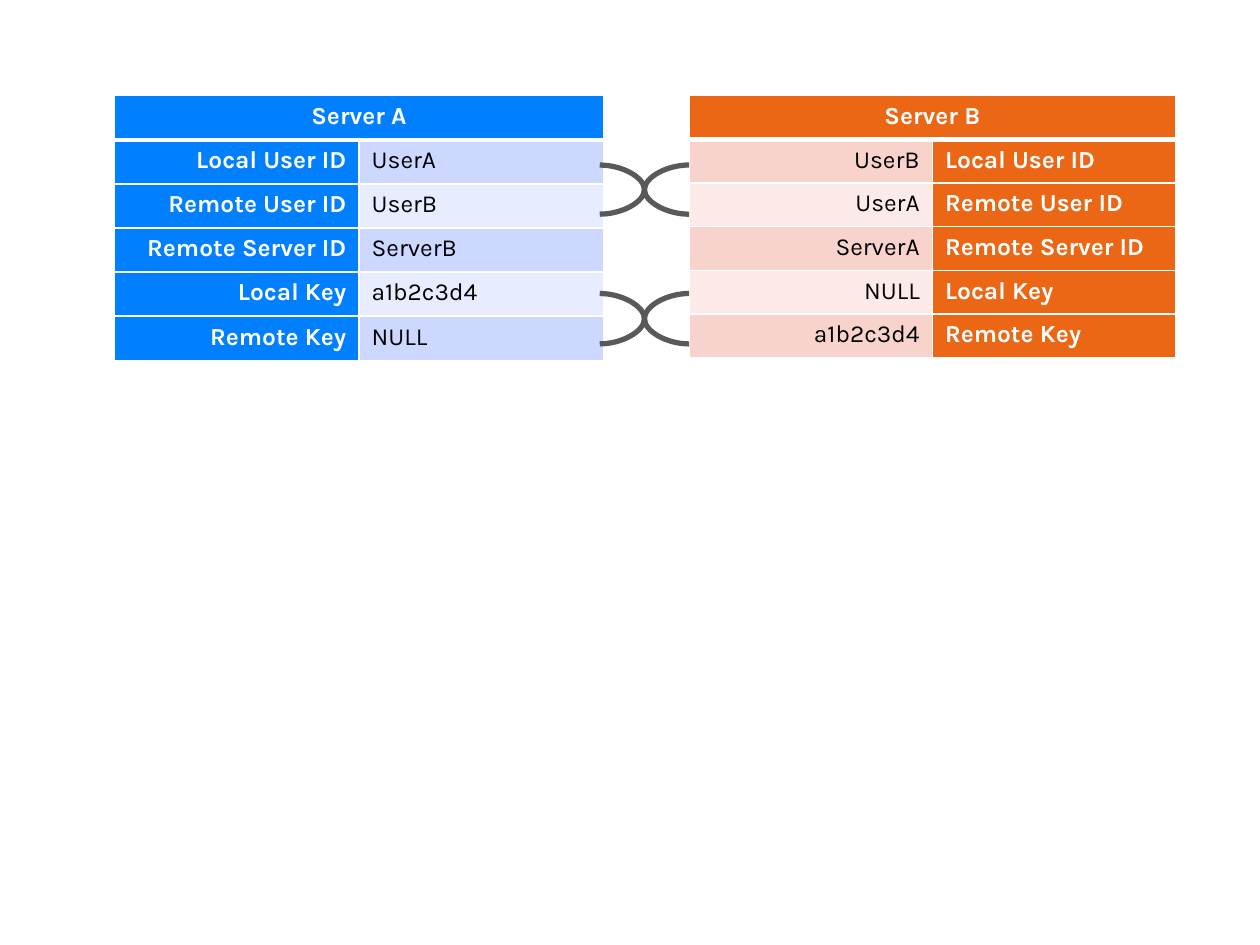
from lxml.etree import SubElement
from pptx import Presentation
from pptx.dml.color import RGBColor
from pptx.enum.shapes import MSO_CONNECTOR
from pptx.enum.text import PP_ALIGN
from pptx.oxml.ns import qn
from pptx.util import Inches, Pt

COLORS = {
    "white": "FFFFFF", "black": "000000", "gray": "595959",
    "blue": "0080FF", "blue_band": "CCD8FF", "blue_pale": "E7EDFF",
    "orange": "EB6615", "orange_band": "F7D3CC", "orange_pale": "FBEAE8",
}
FIELDS = ["Local User ID", "Remote User ID", "Remote Server ID", "Local Key", "Remote Key"]
VALUES_A = ["UserA", "UserB", "ServerB", "a1b2c3d4", "NULL"]
VALUES_B = ["UserB", "UserA", "ServerA", "NULL", "a1b2c3d4"]
LABEL_FORMAT = {"name": "Karla", "size": Pt(14), "bold": True}
VALUE_FORMAT = {**LABEL_FORMAT, "bold": False}


def color(name):
    """Return the named palette colour."""
    return RGBColor.from_string(COLORS[name])


def set_borders(cell, top=1, bottom=1):
    """Draw white borders, with widths in points, around a cell."""
    properties = cell._tc.get_or_add_tcPr()
    for side, width in (("L", 1), ("R", 1), ("T", top), ("B", bottom)):
        line = SubElement(properties, qn(f"a:ln{side}"), w=str(Pt(width)))
        fill = SubElement(line, qn("a:solidFill"))
        SubElement(fill, qn("a:srgbClr"), val=COLORS["white"])


def fill_cell(cell, text, fill, text_color, alignment, text_format):
    """Fill a cell with a colour and one formatted run."""
    cell.fill.solid()
    cell.fill.fore_color.rgb = color(fill)
    paragraph = cell.text_frame.paragraphs[0]
    paragraph.alignment = alignment
    run = paragraph.add_run()
    run.text = text
    for name, value in text_format.items():
        setattr(run.font, name, value)
    run.font.color.rgb = color(text_color)


def add_server_table(slide, title, values, hue, left, width, height, label_column):
    """Add a server table with its labels in the given column."""
    table = slide.shapes.add_table(
        len(FIELDS) + 1, 2, Inches(left), Inches(0.76), Inches(width), Inches(height)
    ).table
    for column in range(2):
        set_borders(table.cell(0, column), bottom=3)
    header = table.cell(0, 0)
    header.merge(table.cell(0, 1))
    fill_cell(header, title, hue, "white", PP_ALIGN.CENTER, LABEL_FORMAT)
    alignments = [PP_ALIGN.RIGHT, PP_ALIGN.LEFT]
    for row, (field, value) in enumerate(zip(FIELDS, values), start=1):
        band = f"{hue}_band" if row % 2 else f"{hue}_pale"
        for column, alignment in enumerate(alignments):
            cell = table.cell(row, column)
            set_borders(cell, top=3 if row == 1 else 1)
            if column == label_column:
                fill_cell(cell, field, hue, "white", alignment, LABEL_FORMAT)
            else:
                fill_cell(cell, value, band, "black", alignment, VALUE_FORMAT)


def add_curve(slide, start_y, end_y):
    """Add a curved connector across the gap between the tables."""
    connector = slide.shapes.add_connector(
        MSO_CONNECTOR.CURVE, Inches(4.76), Inches(start_y), Inches(5.47), Inches(end_y)
    )
    connector.line.color.rgb = color("gray")
    connector.line.width = Pt(3)
    SubElement(connector._element.spPr, qn("a:effectLst"))


def add_crossing(slide, top, bottom):
    """Add two curves that swap a pair of rows."""
    add_curve(slide, bottom, top)
    add_curve(slide, top, bottom)


def main():
    """Build and save the slide."""
    presentation = Presentation()
    presentation.slide_width = Inches(10)
    presentation.slide_height = Inches(7.5)
    slide = presentation.slides.add_slide(presentation.slide_layouts[6])
    add_server_table(slide, "Server A", VALUES_A, "blue", 0.91, 3.88, 2.1, 0)
    add_server_table(slide, "Server B", VALUES_B, "orange", 5.47, 3.86, 2.08, 1)
    for top, bottom in ((1.31, 1.7), (2.33, 2.73)):
        add_crossing(slide, top, bottom)
    presentation.save("out.pptx")


if __name__ == "__main__":
    main()
